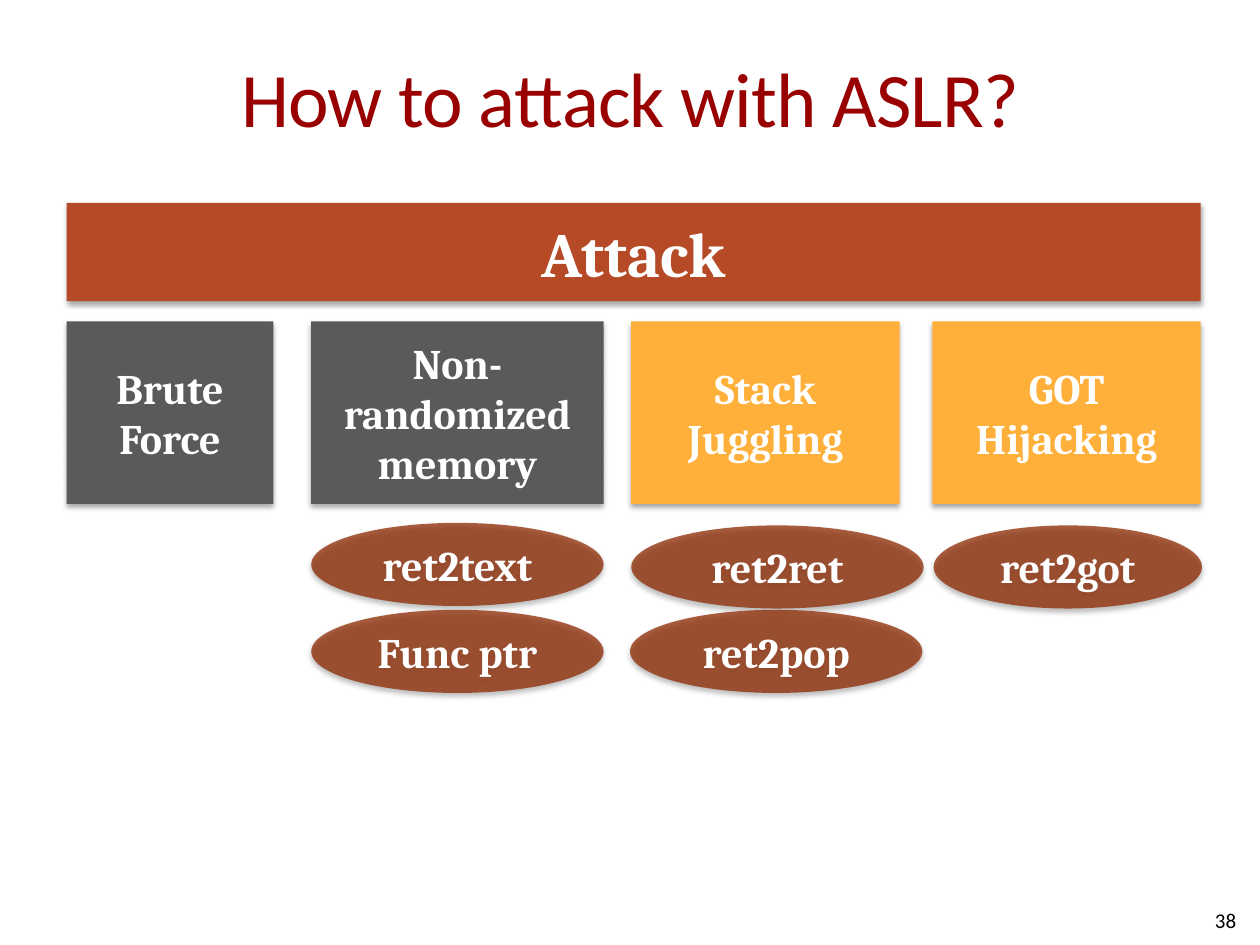
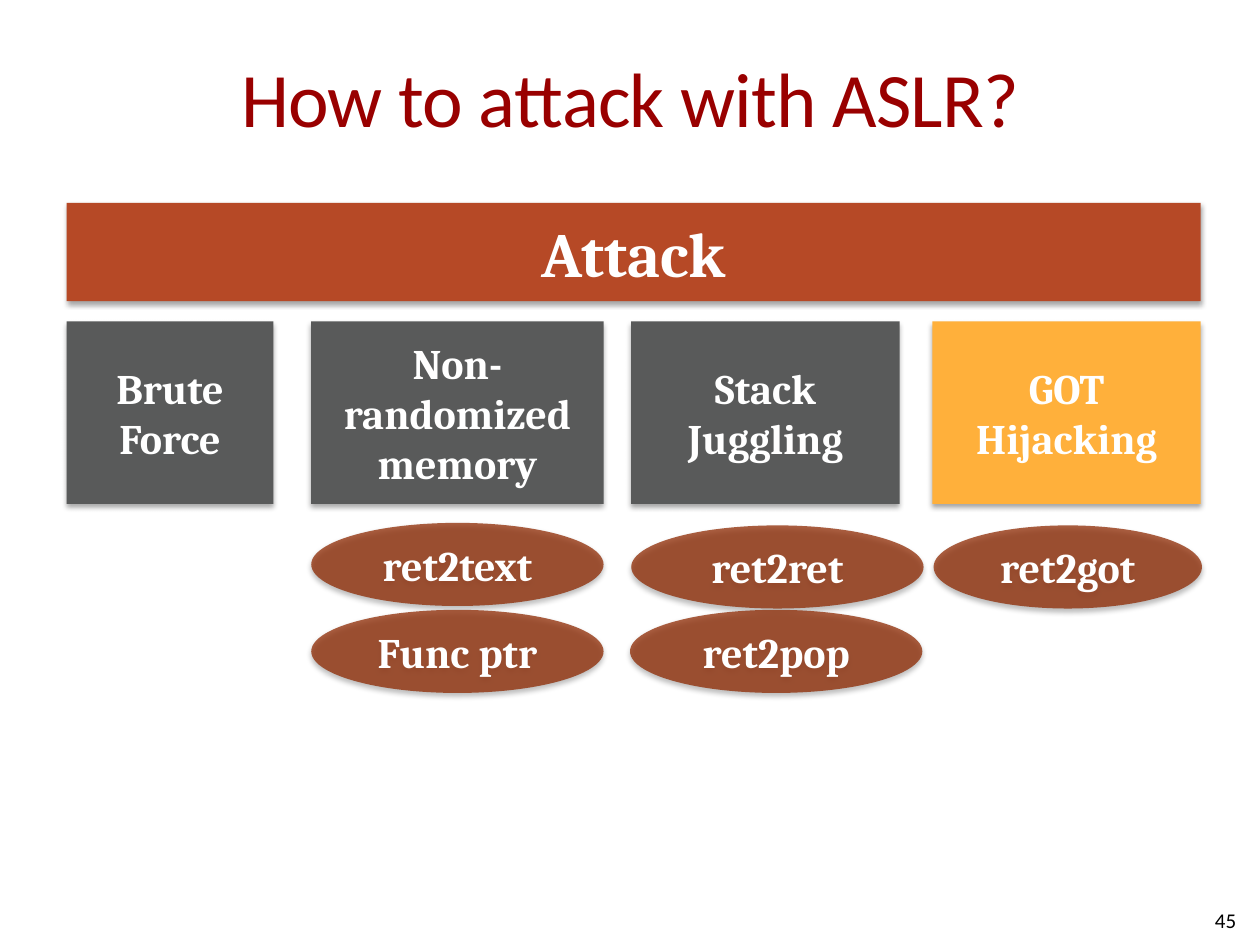
from dataclasses import dataclass

from lxml import etree
from pptx import Presentation
from pptx import util as u
from pptx.dml.color import RGBColor
from pptx.enum import shapes, text
from pptx.oxml import ns

# Grid: 100 columns by 75 rows on a 10 x 7.5 inch slide
COLUMNS, ROWS = 100, 75
SLIDE_WIDTH, SLIDE_HEIGHT = u.Inches(10), u.Inches(7.5)

# Shared colours and fonts
TITLE_RED = RGBColor(0x99, 0x00, 0x00)
RUST = RGBColor(0xB6, 0x49, 0x26)
GREY = RGBColor(0x59, 0x5A, 0x5A)
AMBER = RGBColor(0xFF, 0xB0, 0x3B)
BROWN = RGBColor(0x8E, 0x28, 0x00)
WHITE = RGBColor(0xFF, 0xFF, 0xFF)
BLACK = RGBColor(0x00, 0x00, 0x00)
PLAIN_FONT, DIAGRAM_FONT = "Calibri", "Cambria"

RECTANGLE, OVAL = shapes.MSO_SHAPE.RECTANGLE, shapes.MSO_SHAPE.OVAL
BROWN_OPACITY = 74


@dataclass(frozen=True)
class Area:
    """A place on the grid, in columns and rows."""
    column: float
    row: float
    width: float
    height: float

    def lengths(self) -> tuple[int, int, int, int]:
        across, down = SLIDE_WIDTH / COLUMNS, SLIDE_HEIGHT / ROWS
        return (round(self.column * across), round(self.row * down),
                round(self.width * across), round(self.height * down))


@dataclass(frozen=True)
class Technique:
    """An oval example of an attack."""
    label: str
    column: float
    row: float
    width: float = 23.2


@dataclass(frozen=True)
class Attack:
    """A kind of attack, with its examples below."""
    label: str
    column: float
    width: float
    techniques: tuple[Technique, ...] = ()


@dataclass(frozen=True)
class Step:
    """One slide: its number and how many attacks are already covered."""
    number: int
    covered: int


TITLE_AREA = Area(5, 2.9, 90, 9.6)
BANNER_AREA = Area(5.3, 16.1, 90, 7.8)
NUMBER_AREA = Area(75.8, 71, 23.3, 4)
ATTACK_ROW, ATTACK_HEIGHT = 25.5, 14.5
FIRST_ROW, LOWERED_ROW, SECOND_ROW, OVAL_HEIGHT = 41.5, 41.7, 48.4, 6.6

ATTACKS = (
    Attack("Brute Force", 5.3, 16.4),
    Attack("Non-randomized memory", 24.7, 23.2, (
        Technique("ret2text", 24.7, FIRST_ROW),
        Technique("Func ptr", 24.7, SECOND_ROW))),
    Attack("Stack Juggling", 50.1, 21.3, (
        Technique("ret2ret", 50.1, LOWERED_ROW),
        Technique("ret2pop", 50, SECOND_ROW))),
    Attack("GOT\nHijacking", 74, 21.3, (
        Technique("ret2got", 74.1, LOWERED_ROW, 21.3),)),
)
STEPS = (Step(38, 2), Step(45, 3))


def write(shape, words: str, *, size: float, font: str, color: RGBColor,
          bold: bool = False, align=text.PP_ALIGN.CENTER,
          spacing: float = 0) -> None:
    """Fill a shape with text; each line becomes a paragraph."""
    frame = shape.text_frame
    frame.text = words
    frame.word_wrap = True
    frame.auto_size = text.MSO_AUTO_SIZE.NONE
    frame.vertical_anchor = text.MSO_ANCHOR.MIDDLE
    for paragraph in frame.paragraphs:
        paragraph.alignment = align
        for run in paragraph.runs:
            run.font.size = u.Pt(size)
            run.font.name = font
            run.font.bold = bold
            run.font.color.rgb = color
            if spacing:
                run.font._element.set("spc", str(round(spacing * 100)))


def set_opacity(color_element, percent: int) -> None:
    alpha = etree.SubElement(color_element, ns.qn("a:alpha"))
    alpha.set("val", str(percent * 1000))


def add_shadow(shape) -> None:
    """Give the shape a soft shadow straight below it."""
    shape.shadow.inherit = False
    effects = shape._element.spPr.find(ns.qn("a:effectLst"))
    shadow = etree.SubElement(
        effects, ns.qn("a:outerShdw"), blurRad=str(u.Pt(3.1)),
        dist=str(u.Pt(1.8)), dir=str(90 * 60000), rotWithShape="0")
    color = etree.SubElement(shadow, ns.qn("a:srgbClr"), val=str(BLACK))
    set_opacity(color, 35)


def add_block(slide, kind, area: Area, words: str, fill: RGBColor, *,
              size: float = 24, opacity: int = 100) -> None:
    shape = slide.shapes.add_shape(kind, *area.lengths())
    shape.fill.solid()
    shape.fill.fore_color.rgb = fill
    if opacity < 100:
        set_opacity(shape._element.spPr.find(ns.qn("a:solidFill"))[0], opacity)
    shape.line.fill.background()
    add_shadow(shape)
    write(shape, words, size=size, font=DIAGRAM_FONT, color=WHITE, bold=True)


def add_title(slide, words: str) -> None:
    title = slide.shapes.title
    title.left, title.top, title.width, title.height = TITLE_AREA.lengths()
    title.text_frame.margin_left = title.text_frame.margin_right = 0
    write(title, words, size=44, font=PLAIN_FONT, color=TITLE_RED, spacing=-0.5)


def add_number(slide, number: int) -> None:
    box = slide.shapes.add_textbox(*NUMBER_AREA.lengths())
    write(box, str(number), size=12, font=PLAIN_FONT, color=BLACK,
          align=text.PP_ALIGN.RIGHT)


def add_attack(slide, attack: Attack, fill: RGBColor) -> None:
    area = Area(attack.column, ATTACK_ROW, attack.width, ATTACK_HEIGHT)
    add_block(slide, RECTANGLE, area, attack.label, fill)
    for technique in attack.techniques:
        area = Area(technique.column, technique.row, technique.width, OVAL_HEIGHT)
        add_block(slide, OVAL, area, technique.label, BROWN,
                  opacity=BROWN_OPACITY)


def add_step(presentation, step: Step) -> None:
    title_only = presentation.slide_layouts.get_by_name("Title Only")
    slide = presentation.slides.add_slide(title_only)
    add_title(slide, "How to attack with ASLR?")
    add_block(slide, RECTANGLE, BANNER_AREA, "Attack", RUST, size=36)
    # Covered attacks are grey, those still to come amber
    for index, attack in enumerate(ATTACKS):
        add_attack(slide, attack, GREY if index < step.covered else AMBER)
    add_number(slide, step.number)


def main() -> None:
    presentation = Presentation()
    presentation.slide_width, presentation.slide_height = SLIDE_WIDTH, SLIDE_HEIGHT
    for step in STEPS:
        add_step(presentation, step)
    presentation.save("out.pptx")


if __name__ == "__main__":
    main()
